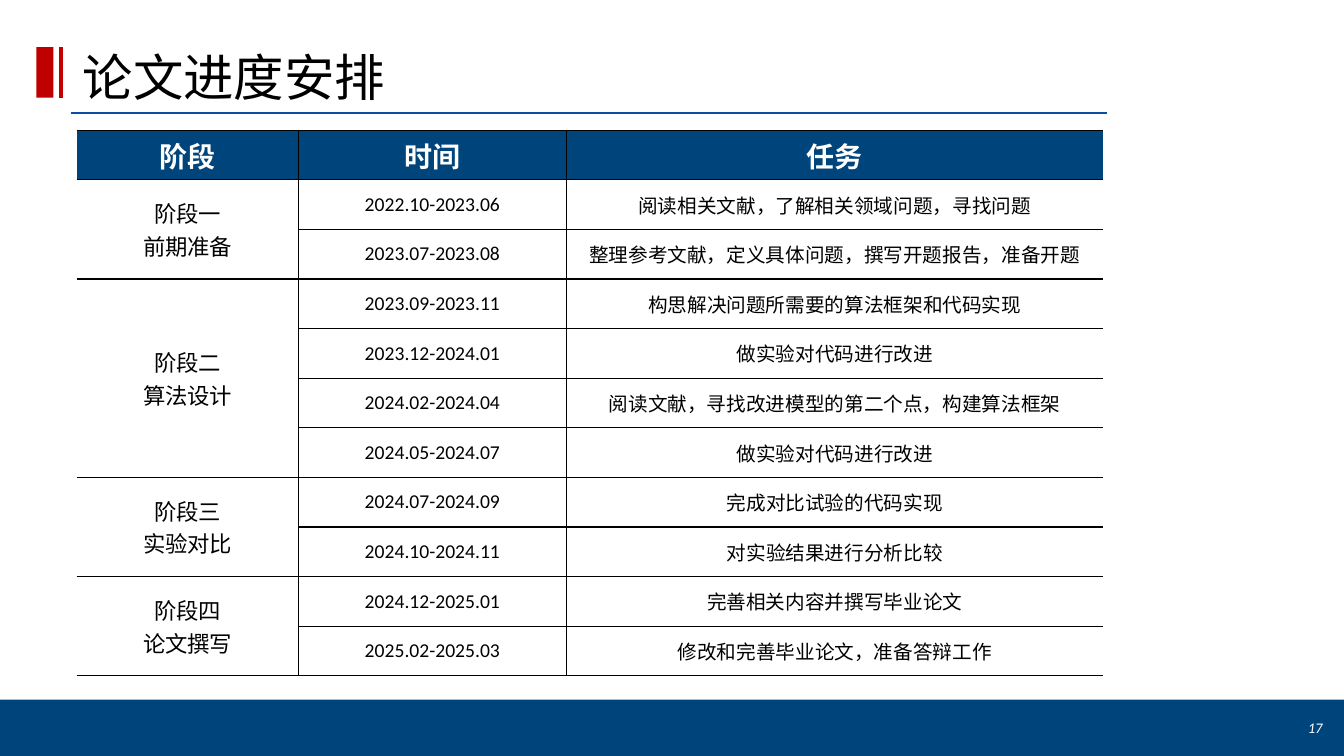
from lxml.etree import SubElement
from pptx import Presentation
from pptx.dml.color import RGBColor
from pptx.enum.shapes import MSO_CONNECTOR as Connector, MSO_SHAPE as Shape
from pptx.enum.text import MSO_ANCHOR as Anchor, PP_ALIGN as Align
from pptx.oxml import parse_xml
from pptx.oxml.ns import nsdecls, qn
from pptx.util import Cm, Pt

NAVY, BLUE, RED = "00447C", "0B4DA2", "C00000"
BLACK, WHITE = "000000", "FFFFFF"

HEADINGS = ("阶段", "时间", "任务")
STAGES = [
    (("阶段一", "前期准备"), [
        ("2022.10-2023.06", "阅读相关文献，了解相关领域问题，寻找问题"),
        ("2023.07-2023.08", "整理参考文献，定义具体问题，撰写开题报告，准备开题"),
    ]),
    (("阶段二", "算法设计"), [
        ("2023.09-2023.11", "构思解决问题所需要的算法框架和代码实现"),
        ("2023.12-2024.01", "做实验对代码进行改进"),
        ("2024.02-2024.04", "阅读文献，寻找改进模型的第二个点，构建算法框架"),
        ("2024.05-2024.07", "做实验对代码进行改进"),
    ]),
    (("阶段三", "实验对比"), [
        ("2024.07-2024.09", "完成对比试验的代码实现"),
        ("2024.10-2024.11", "对实验结果进行分析比较"),
    ]),
    (("阶段四", "论文撰写"), [
        ("2024.12-2025.01", "完善相关内容并撰写毕业论文"),
        ("2025.02-2025.03", "修改和完善毕业论文，准备答辩工作"),
    ]),
]


def color(value):
    return RGBColor.from_string(value)


class SlideBuilder:
    latin_font = "Calibri"
    chinese_font = "Noto Sans CJK SC"

    def __init__(self, slide):
        self.slide = slide

    def place(self, shape, left, top, width, height):
        shape.left, shape.top = Cm(left), Cm(top)
        shape.width, shape.height = Cm(width), Cm(height)

    def run(self, paragraph, text, size, text_color=BLACK, bold=False, italic=False, font=None):
        run = paragraph.add_run()
        run.text = text
        run.font.name = font or self.latin_font
        run.font.size = Pt(size)
        run.font.bold, run.font.italic = bold, italic
        run.font.color.rgb = color(text_color)
        east_asian = SubElement(run.font._element, qn("a:ea"))
        east_asian.set("typeface", self.chinese_font)

    def title(self, text, *box):
        title = self.slide.shapes.title
        self.place(title, *box)
        frame = title.text_frame
        frame.word_wrap = True
        frame.vertical_anchor = Anchor.BOTTOM
        paragraph = frame.paragraphs[0]
        paragraph.alignment = Align.LEFT
        paragraph.line_spacing = 0.85
        self.run(paragraph, text, 36, font=self.chinese_font)

    def rectangle(self, fill, *box):
        shape = self.slide.shapes.add_shape(Shape.RECTANGLE, *map(Cm, box))
        shape.shadow.inherit = False
        shape.fill.solid()
        shape.fill.fore_color.rgb = color(fill)
        shape.line.fill.background()

    def line(self, line_color, width, *ends):
        line = self.slide.shapes.add_connector(Connector.STRAIGHT, *map(Cm, ends))
        line.line.color.rgb = color(line_color)
        line.line.width = Pt(width)
        SubElement(line._element.spPr, qn("a:effectLst"))

    def page_number(self, text, *box):
        frame = self.slide.shapes.add_textbox(*map(Cm, box)).text_frame
        frame.word_wrap = True
        frame.vertical_anchor = Anchor.MIDDLE
        frame.paragraphs[0].alignment = Align.RIGHT
        self.run(frame.paragraphs[0], text, 10.5, WHITE, italic=True)

    def table(self, left, top, widths, row_height, row_count):
        table = self.slide.shapes.add_table(
            row_count, len(widths), Cm(left), Cm(top),
            Cm(sum(widths)), Cm(row_height * row_count)).table
        for column, width in zip(table.columns, widths):
            column.width = Cm(width)
        for row in table.rows:
            row.height = Cm(row_height)
            for index, cell in enumerate(row.cells):
                cell.fill.background()
                self.borders(cell, index > 0, index < len(widths) - 1)
        return table

    def borders(self, cell, left, right):
        sides = {"L": left, "R": right, "T": True, "B": True}
        properties = cell._tc.get_or_add_tcPr()
        for position, (side, shown) in enumerate(sides.items()):
            fill = (f'<a:solidFill><a:srgbClr val="{BLACK}"/></a:solidFill>'
                    if shown else "<a:noFill/>")
            properties.insert(position, parse_xml(
                f'<a:ln{side} {nsdecls("a")} w="{Pt(1)}">{fill}</a:ln{side}>'))

    def cell(self, cell, lines, size, text_color=BLACK, bold=False, fill=None):
        if fill:
            cell.fill.solid()
            cell.fill.fore_color.rgb = color(fill)
        cell.vertical_anchor = Anchor.MIDDLE
        frame = cell.text_frame
        for index, text in enumerate(lines):
            paragraph = frame.add_paragraph() if index else frame.paragraphs[0]
            paragraph.alignment = Align.CENTER
            self.run(paragraph, text, size, text_color, bold)


def main():
    presentation = Presentation()
    presentation.slide_width, presentation.slide_height = Cm(33.87), Cm(19.05)
    title_only = presentation.slide_layouts[5]
    builder = SlideBuilder(presentation.slides.add_slide(title_only))

    # Footer band and title decoration
    builder.rectangle(NAVY, 0, 17.63, 33.87, 1.42)
    builder.line(BLUE, 1.5, 1.78, 2.84, 27.89, 2.84)
    builder.rectangle(RED, 0.92, 1.19, 0.43, 1.27)
    builder.line(RED, 3, 1.53, 1.19, 1.53, 2.46)

    # Title and page number
    builder.title("论文进度安排", 1.83, 0.64, 26.06, 2.18)
    builder.page_number("17", 29.95, 17.83, 3.63, 1.02)

    # Schedule table
    row_count = 1 + sum(len(tasks) for _, tasks in STAGES)
    table = builder.table(1.93, 3.28, (5.6, 6.74, 13.54), 1.25, row_count)
    for column, heading in enumerate(HEADINGS):
        builder.cell(table.cell(0, column), [heading], 20, WHITE, True, NAVY)
    row = 1
    for stage, tasks in STAGES:
        stage_cell = table.cell(row, 0)
        stage_cell.merge(table.cell(row + len(tasks) - 1, 0))
        builder.cell(stage_cell, stage, 16)
        for period, task in tasks:
            builder.cell(table.cell(row, 1), [period], 14)
            builder.cell(table.cell(row, 2), [task], 14)
            row += 1

    presentation.save("out.pptx")


if __name__ == "__main__":
    main()
